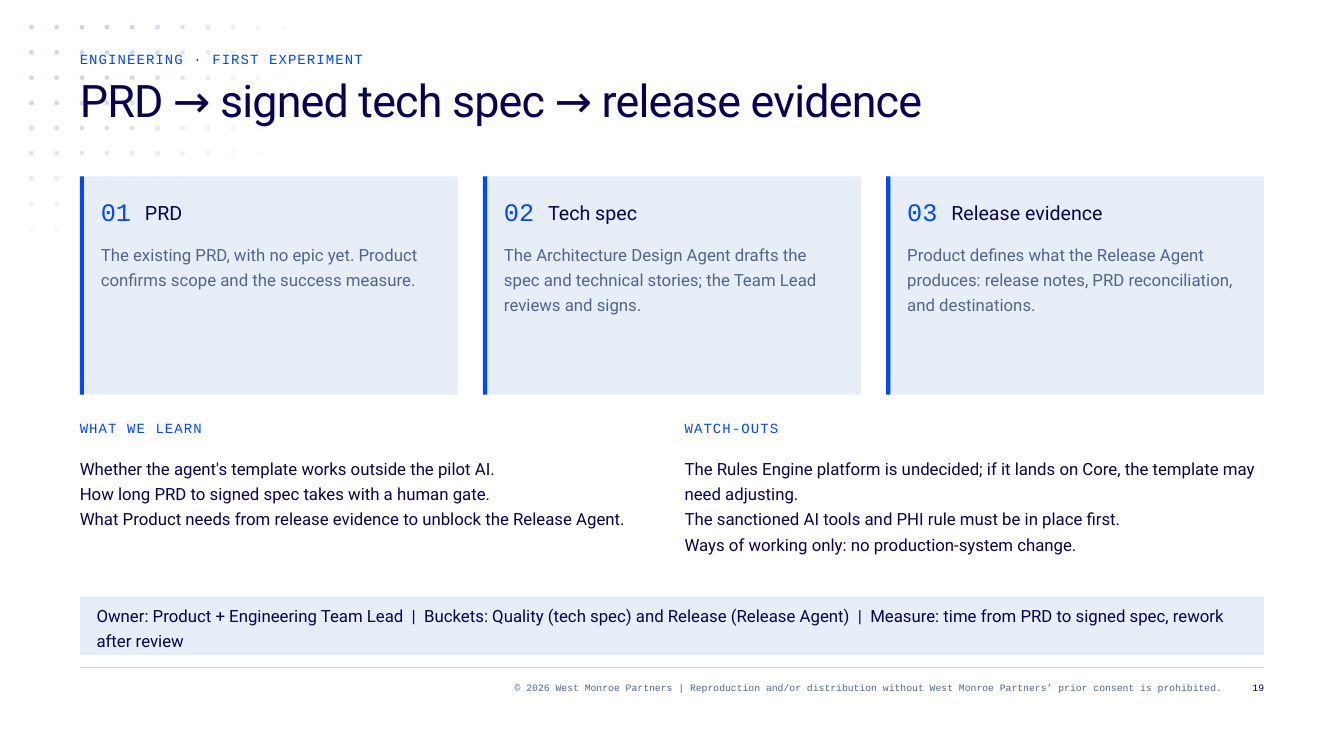
import math

import pptx
import pptx.dml.color
import pptx.enum.shapes
import pptx.enum.text
import pptx.oxml
import pptx.oxml.ns
import pptx.util

Pt = pptx.util.Pt
qn = pptx.oxml.ns.qn
ALIGN = pptx.enum.text.PP_ALIGN
RECT = pptx.enum.shapes.MSO_SHAPE.RECTANGLE
LINE = pptx.enum.shapes.MSO_CONNECTOR.STRAIGHT

NAVY, BLUE, SLATE = "070154", "0047FF", "50658E"
PALE, MIST = "E8EEF8", "CED7E6"
SANS, MONO = "Roboto", "Courier New"

CARDS = [
    ("01", "PRD",
     "The existing PRD, with no epic yet. Product confirms scope and the success measure."),
    ("02", "Tech spec",
     "The Architecture Design Agent drafts the spec and technical stories; "
     "the Team Lead reviews and signs."),
    ("03", "Release evidence",
     "Product defines what the Release Agent produces: release notes, "
     "PRD reconciliation, and destinations."),
]
LISTS = [
    ("WHAT WE LEARN", [
        "Whether the agent's template works outside the pilot AI.",
        "How long PRD to signed spec takes with a human gate.",
        "What Product needs from release evidence to unblock the Release Agent.",
    ]),
    ("WATCH-OUTS", [
        "The Rules Engine platform is undecided; if it lands on Core, "
        "the template may need adjusting.",
        "The sanctioned AI tools and PHI rule must be in place first.",
        "Ways of working only: no production-system change.",
    ]),
]
OWNER = ("Owner: Product + Engineering Team Lead  |  Buckets: Quality (tech spec) and "
         "Release (Release Agent)  |  Measure: time from PRD to signed spec, rework after review")
RIGHTS = ("© 2026 West Monroe Partners | Reproduction and/or distribution without "
          "West Monroe Partners’ prior consent is prohibited.")


def color(code):
    return pptx.dml.color.RGBColor.from_string(code)


def write(shape, text, size, lead, hue, face=SANS, track=0, align=ALIGN.LEFT):
    frame = shape.text_frame
    frame.text = text
    frame.word_wrap = True
    frame.auto_size = pptx.enum.text.MSO_AUTO_SIZE.NONE
    frame.vertical_anchor = pptx.enum.text.MSO_ANCHOR.TOP
    frame.margin_left = frame.margin_right = 0
    frame.margin_top = frame.margin_bottom = 0
    for para in frame.paragraphs:
        para.alignment = align
        para.line_spacing = Pt(lead)
        para.space_before = para.space_after = Pt(0)
        for run in para.runs:
            run.font.name = face
            run.font.size = Pt(size)
            run.font.color.rgb = color(hue)
    if track:
        for props in shape.element.iter(qn("a:rPr")):
            props.set("spc", str(round(track * 100)))


def label(slide, x, y, w, h, *args, **style):
    shape = slide.shapes.add_textbox(Pt(x), Pt(y), Pt(w), Pt(h))
    write(shape, *args, **style)


def place(shape, x, y, w, h):
    shape.left, shape.top, shape.width, shape.height = Pt(x), Pt(y), Pt(w), Pt(h)


def block(slide, x, y, w, h, hue, alpha=100):
    shape = slide.shapes.add_shape(RECT, Pt(x), Pt(y), Pt(w), Pt(h))
    shape.shadow.inherit = False
    shape.fill.solid()
    shape.fill.fore_color.rgb = color(hue)
    shape.line.fill.background()
    if alpha < 100:
        fill = shape.element.spPr.find(qn("a:solidFill"))
        node = pptx.oxml.parse_xml(
            f'<a:alpha {pptx.oxml.ns.nsdecls("a")} val="{alpha * 1000}"/>')
        fill[0].append(node)


def dots(slide, x, y, step):
    for col in range(11):
        for row in range(9):
            fade = round(152 * (1 - math.hypot(col / 11.1, row / 9.1)))
            if fade > 0 and (row < 7 or col < 3):
                block(slide, x + col * step, y + row * step, 3, 3, MIST, min(fade, 100))


def header(slide, x, y, w):
    title = slide.shapes.title
    place(title, x, y + 18, w, 72)
    write(title, "PRD → signed tech spec → release evidence", 32, 36, NAVY, track=-0.6)
    title.element.getparent().append(title.element)
    label(slide, x, y, w, 18, "ENGINEERING · FIRST EXPERIMENT", 10, 12, BLUE,
          face=MONO, track=0.8)


def card(slide, x, y, w, h, mark, name, note):
    block(slide, x, y, w, h, PALE)
    block(slide, x, y, 3, h, BLUE)
    label(slide, x + 15, y + 12, 22.5, 24, mark, 18, 24, BLUE, face=MONO)
    label(slide, x + 46.5, y + 13.5, w - 58.5, 21, name, 14, 21, NAVY)
    label(slide, x + 15, y + 45, w - 27, 54, note, 12, 18, SLATE)


def points(slide, x, y, w, body, head, items):
    label(slide, x, y, w, 18, head, 10, 12, BLUE, face=MONO, track=0.8)
    place(body, x, y + 24, w, 90)
    write(body, "\n".join(items), 12, 18, NAVY)
    for para in body.element.iter(qn("a:p")):
        props = para.get_or_add_pPr()
        props.set("marL", "0")
        props.set("indent", "0")
        props.append(pptx.oxml.parse_xml(f'<a:buNone {pptx.oxml.ns.nsdecls("a")}/>'))


def strip(slide, x, y, w, h):
    block(slide, x, y, w, h, PALE)
    label(slide, x + 12, y + 3, w - 24, h - 6, OWNER, 12, 18, NAVY)


def footer(slide, x, y, w):
    rule = slide.shapes.add_connector(LINE, Pt(x), Pt(y), Pt(x + w), Pt(y))
    rule.line.color.rgb = color(MIST)
    rule.line.width = Pt(0.75)
    rule.element.spPr.append(
        pptx.oxml.parse_xml(f'<a:effectLst {pptx.oxml.ns.nsdecls("a")}/>'))
    label(slide, x + w - 732, y + 9, 702, 18, RIGHTS, 7, 9, SLATE,
          face=MONO, align=ALIGN.RIGHT)
    label(slide, x + w - 24, y + 9, 24, 18, "19", 7, 9, NAVY,
          face=MONO, align=ALIGN.RIGHT)


def main():
    deck = pptx.Presentation()
    deck.slide_width, deck.slide_height = Pt(960), Pt(540)
    slide = deck.slides.add_slide(deck.slide_layouts[3])
    left, wide = 57, 846
    dots(slide, 21, 18, 18)
    header(slide, left, 36, 738)
    for i, parts in enumerate(CARDS):
        card(slide, left + i * 288, 126, 270, 156, *parts)
    for i, parts in enumerate(LISTS):
        points(slide, left + i * 432, 300, 414, slide.placeholders[i + 1], *parts)
    strip(slide, left, 426, wide, 42)
    footer(slide, left, 477, wide)
    deck.save("out.pptx")


if __name__ == "__main__":
    main()
